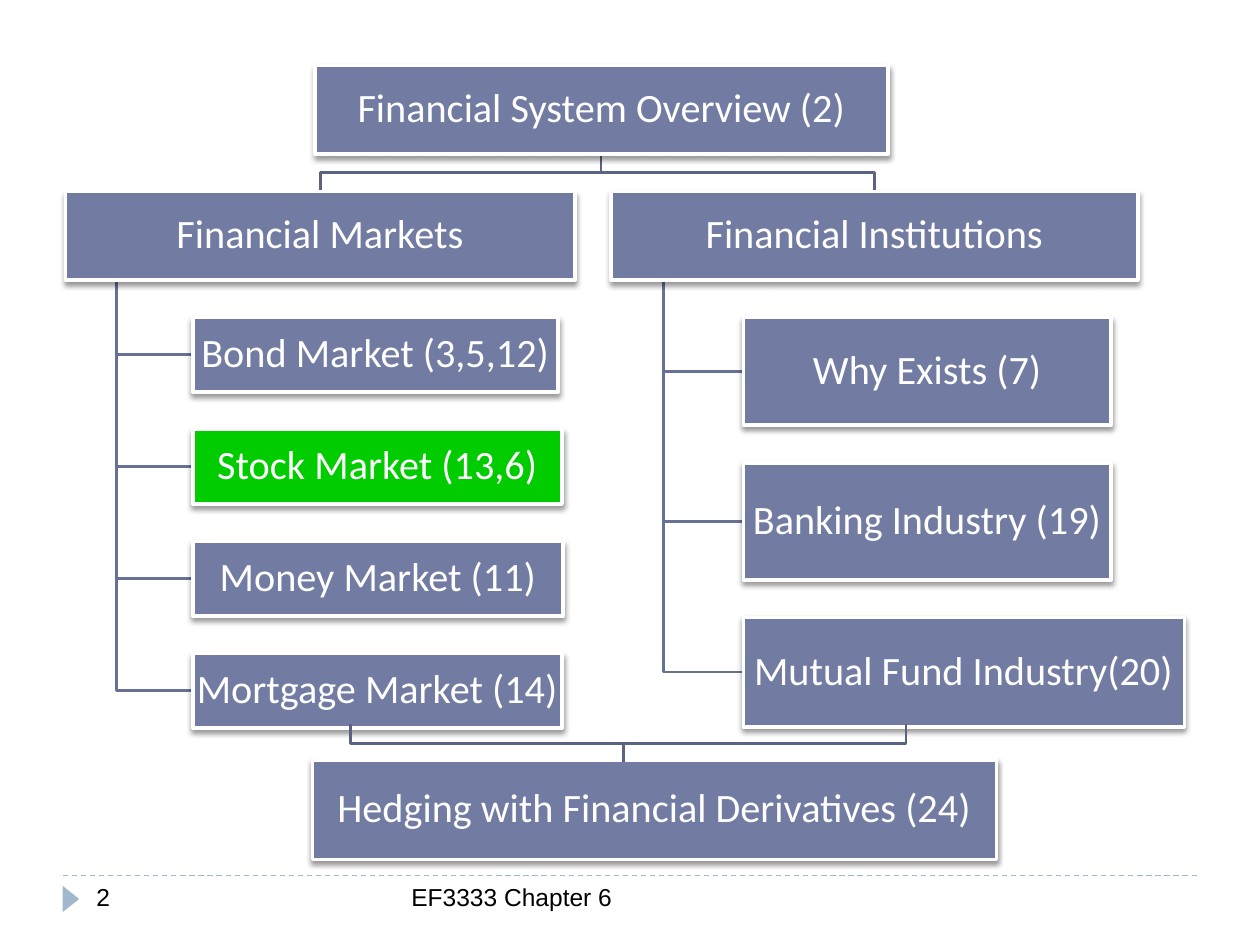
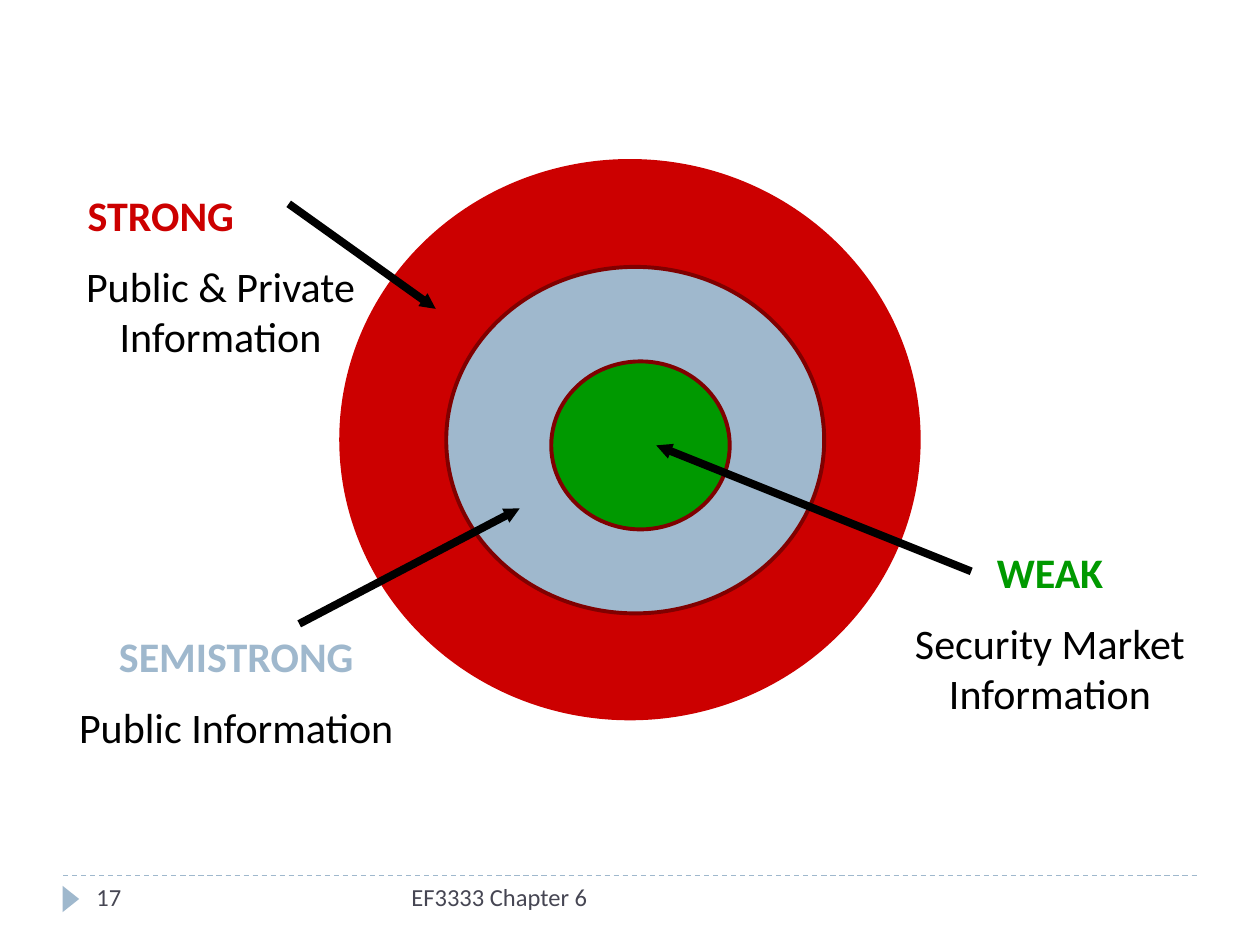
import lxml.etree
import pptx
import pptx.dml.color
import pptx.enum.dml
import pptx.enum.shapes
import pptx.enum.text
import pptx.oxml.ns
import pptx.util

WHITE = pptx.dml.color.RGBColor(0xFF, 0xFF, 0xFF)
BLACK = pptx.dml.color.RGBColor(0x00, 0x00, 0x00)
SLATE = pptx.dml.color.RGBColor(0x72, 0x7C, 0xA3)
BRANCH = pptx.dml.color.RGBColor(0x67, 0x71, 0x94)
TRUNK = pptx.dml.color.RGBColor(0x5B, 0x63, 0x83)
HIGHLIGHT = pptx.dml.color.RGBColor(0x00, 0xCC, 0x00)
MIST = pptx.dml.color.RGBColor(0x9F, 0xB8, 0xCD)
CHARCOAL = pptx.dml.color.RGBColor(0x46, 0x46, 0x53)
RED = pptx.dml.color.RGBColor(0xCC, 0x00, 0x00)
MAROON = pptx.dml.color.RGBColor(0x80, 0x00, 0x00)
GREEN = pptx.dml.color.RGBColor(0x00, 0x99, 0x00)

SHAPES = pptx.enum.shapes.MSO_SHAPE
CENTER = pptx.enum.text.PP_ALIGN.CENTER
LEFT = pptx.enum.text.PP_ALIGN.LEFT

TOPIC_FRAME = {
    "word_wrap": True,
    "vertical_anchor": pptx.enum.text.MSO_ANCHOR.MIDDLE,
    "margin_left": pptx.util.Pt(1.3), "margin_right": pptx.util.Pt(1.3),
    "margin_top": pptx.util.Pt(1.3), "margin_bottom": pptx.util.Pt(1.3),
}
TOPIC_FONT = {"name": "Calibri", "size": pptx.util.Pt(23)}
LEVEL_FONT = {"name": "Calibri", "size": pptx.util.Pt(24), "bold": True}
DETAIL_FONT = {**LEVEL_FONT, "bold": False}

LEVEL_GAP = 21.5
MARKET_HEIGHT = 42.5
FOOTER_TEXT = "EF3333 Chapter 6"


def points(*lengths):
    return [pptx.util.Pt(length) for length in lengths]


def apply_format(target, values):
    for attribute, value in values.items():
        setattr(target, attribute, value)


def sub_element(parent, tag, **attributes):
    return lxml.etree.SubElement(parent, pptx.oxml.ns.qn(tag), attributes)


def write(paragraph, text, font, color, align=LEFT):
    paragraph.text = text
    paragraph.alignment = align
    apply_format(paragraph.font, font)
    paragraph.font.color.rgb = color


def add_filled(slide, kind, box, fill, outline=None, width=0):
    shape = slide.shapes.add_shape(kind, *points(*box))
    shape.shadow.inherit = False
    shape.fill.solid()
    shape.fill.fore_color.rgb = fill
    if outline is None:
        shape.line.fill.background()
    else:
        shape.line.color.rgb = outline
        shape.line.width = pptx.util.Pt(width)
    return shape


def add_straight(slide, start, end, color, width):
    line = slide.shapes.add_connector(
        pptx.enum.shapes.MSO_CONNECTOR.STRAIGHT, *points(*start, *end))
    line.line.color.rgb = color
    line.line.width = pptx.util.Pt(width)
    sub_element(line._element.spPr, "a:effectLst")
    return line


def add_arrow(slide, start, end):
    arrow = add_straight(slide, start, end, BLACK, 4.5)
    sub_element(arrow.line._get_or_add_ln(), "a:tailEnd",
                type="triangle", w="sm", len="sm")


def add_elbow(slide, color, *corners):
    start, *rest = [points(*corner) for corner in corners]
    builder = slide.shapes.build_freeform(*start)
    builder.add_line_segments(rest, close=False)
    elbow = builder.convert_to_shape()
    elbow.shadow.inherit = False
    elbow.fill.background()
    elbow.line.color.rgb = color
    elbow.line.width = pptx.util.Pt(1.5)


def add_topic(slide, text, box, fill=SLATE):
    """Add a white-edged box with a soft shadow below it."""
    topic = add_filled(slide, SHAPES.RECTANGLE, box, fill, WHITE, 2)
    effects = topic._element.spPr.find(pptx.oxml.ns.qn("a:effectLst"))
    shadow = sub_element(effects, "a:outerShdw", blurRad="38100", dist="25400",
                         dir="5400000", rotWithShape="0")
    tone = sub_element(shadow, "a:srgbClr", val="000000")
    sub_element(tone, "a:alpha", val="40000")
    apply_format(topic.text_frame, TOPIC_FRAME)
    paragraph = topic.text_frame.paragraphs[0]
    paragraph.line_spacing = 0.9
    write(paragraph, text, TOPIC_FONT, WHITE, CENTER)


def add_branch(slide, parent, left, children):
    """Stack the children below the parent, each joined to its trunk.

    A child is its text, width, height and fill.
    """
    text, (x, y, width, height) = parent
    trunk = x + width / 10
    top = y + height + LEVEL_GAP
    boxes = []
    for label, child_width, child_height, fill in children:
        middle = top + child_height / 2
        add_elbow(slide, BRANCH, (trunk, y + height), (trunk, middle), (left, middle))
        boxes.append((label, (left, top, child_width, child_height), fill))
        top += child_height + LEVEL_GAP
    add_topic(slide, text, parent[1])
    for box in boxes:
        add_topic(slide, *box)


def add_fork(slide, stem, tips):
    """Join the stem point to each tip with a bend halfway up."""
    for tip in tips:
        bend = (stem[1] + tip[1]) / 2
        add_elbow(slide, TRUNK, stem, (stem[0], bend), (tip[0], bend), tip)


def add_text_box(slide, box):
    frame = slide.shapes.add_textbox(*points(*box)).text_frame
    frame.word_wrap = True
    return frame


def add_footer(slide, number, font_name, color):
    rule = add_straight(slide, (36, 500.4), (684, 500.4), MIST, 0.75)
    rule.line.dash_style = pptx.enum.dml.MSO_LINE.DASH
    marker = add_filled(slide, SHAPES.ISOSCELES_TRIANGLE, (33, 509, 15, 9.4), MIST)
    marker.rotation = 90
    font = {"name": font_name, "size": pptx.util.Pt(14)}
    for text, left, width in ((FOOTER_TEXT, 228, 276), (number, 48, 156)):
        frame = add_text_box(slide, (left, 500.4, width, 28.8))
        write(frame.paragraphs[0], text, font, color)


def add_level(slide, name, detail, box, color, indent=None):
    """Add an efficiency level; an indent sets its name flush left."""
    frame = add_text_box(slide, box)
    heading = frame.paragraphs[0]
    if indent:
        heading._p.get_or_add_pPr().set("marL", str(pptx.util.Pt(indent)))
    write(heading, name, LEVEL_FONT, color, LEFT if indent else CENTER)
    description = frame.add_paragraph()
    description.space_before = pptx.util.Pt(12)
    write(description, detail, DETAIL_FONT, BLACK, CENTER)


def build_overview(slide):
    add_footer(slide, "2", "Arial", BLACK)
    markets = ("Financial Markets", (37.5, 109.5, 291, 50.5))
    institutions = ("Financial Institutions", (349.2, 109.5, 301, 50.5))
    add_fork(slide, (343.5, 88), [(x + width / 2, y) for _, (x, y, width, _)
                                  in (markets, institutions)])
    add_topic(slide, "Financial System Overview (2)", (180, 37.5, 327.6, 50.5))
    add_branch(slide, markets, 110.2, [
        ("Bond Market (3,5,12)", 208.8, MARKET_HEIGHT, SLATE),
        ("Stock Market (13,6)", 211, MARKET_HEIGHT, HIGHLIGHT),
        ("Money Market (11)", 211.7, MARKET_HEIGHT, SLATE),
        ("Mortgage Market (14)", 211, MARKET_HEIGHT, SLATE),
    ])
    add_branch(slide, institutions, 424.8, [
        ("Why Exists (7)", 210.2, 61.5, SLATE),
        ("Banking Industry (19)", 210.2, 66.8, SLATE),
        ("Mutual Fund Industry(20)", 252, 62.6, SLATE),
    ])
    add_topic(slide, "Hedging with Financial Derivatives (24)",
              (178.6, 434.2, 391, 56.9))
    add_fork(slide, (356.4, 435.6), [(200.2, 414), (517.7, 414)])


def build_efficiency(slide):
    add_footer(slide, "17", "Calibri", CHARCOAL)
    for box, fill, outline in (
        ((195, 92, 330, 318.5), RED, RED),
        ((255, 152.5, 216, 198), MIST, MAROON),
        ((315, 206.5, 102, 96), GREEN, MAROON),
    ):
        add_filled(slide, SHAPES.OVAL, box, fill, outline, 2.25)
    add_level(slide, "WEAK", "Security Market Information",
              (501, 308.5, 198, 108), GREEN)
    add_level(slide, "SEMISTRONG", "Public Information",
              (27, 356.5, 216, 79), MIST)
    add_level(slide, "STRONG", "Public & Private Information",
              (27, 104.5, 198, 108), RED, indent=16)
    for start, end in (
        ((555, 326.5), (375, 254.5)),
        ((171, 356.5), (297, 290.5)),
        ((165, 116.5), (249, 176.5)),
    ):
        add_arrow(slide, start, end)


def main():
    deck = pptx.Presentation()
    deck.slide_width, deck.slide_height = points(720, 540)
    blank = deck.slide_layouts.get_by_name("Blank")
    for build in (build_overview, build_efficiency):
        build(deck.slides.add_slide(blank))
    deck.save("out.pptx")


if __name__ == "__main__":
    main()
